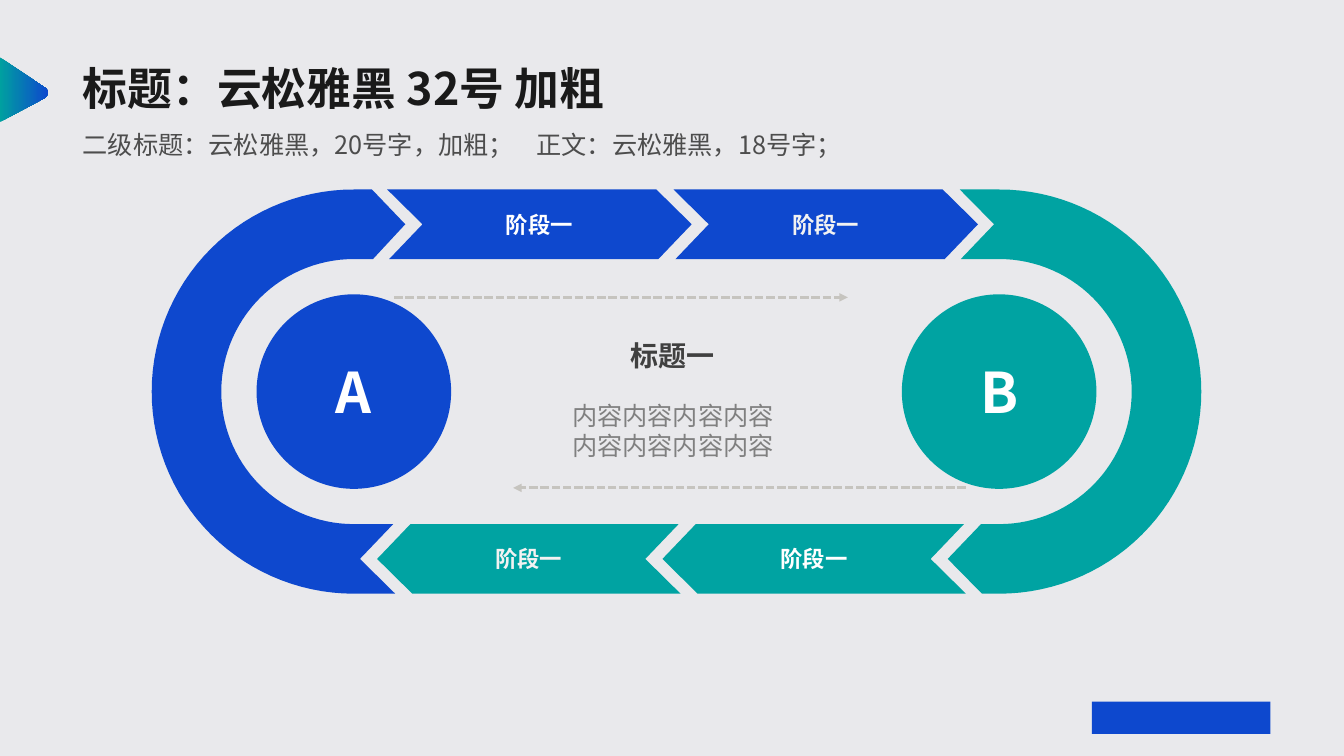
"""Build a two-pole cycle slide with stage arrows and a central message."""
from dataclasses import dataclass
from math import cos, radians, sin

from lxml.etree import SubElement
from pptx import Presentation
from pptx.dml.color import RGBColor as Color
from pptx.enum.dml import MSO_LINE as Dash
from pptx.enum.shapes import MSO_CONNECTOR as Connector, MSO_SHAPE as Preset
from pptx.enum.text import MSO_ANCHOR as Anchor, MSO_AUTO_SIZE as AutoSize, PP_ALIGN as Align
from pptx.oxml.ns import qn
from pptx.util import Inches, Pt


@dataclass(frozen=True)
class Theme:
    font: str = "Noto Sans CJK SC"
    background: str = "E9E9EC"
    blue: str = "0E48CE"
    accent_blue: str = "0D48CE"
    teal: str = "00A3A2"
    accent_teal: str = "00A0A0"
    white: str = "FFFFFF"
    soft_white: str = "F2F2F2"
    title: str = "1A1A1A"
    subtitle: str = "4D4D4D"
    heading: str = "404040"
    content: str = "808080"
    arrow: str = "C6C4BF"
    letter_size: int = 40
    title_size: int = 32
    heading_size: int = 20
    body_size: int = 18
    label_size: int = 16


theme = Theme()


def write(box, text, *, size, color, bold=False, align=Align.CENTER,
          anchor=Anchor.MIDDLE, inset=(0, 0), spacing=None, before=0):
    frame = box.text_frame
    frame.word_wrap = True
    frame.auto_size = AutoSize.NONE
    frame.vertical_anchor = anchor
    frame.margin_left = frame.margin_right = Inches(inset[0])
    frame.margin_top = frame.margin_bottom = Inches(inset[1])
    para = frame.add_paragraph() if frame.text else frame.paragraphs[0]
    para.alignment = align
    para.space_before = Pt(before)
    if spacing:
        para.line_spacing = Pt(spacing)
    span = para.add_run()
    span.text = text
    span.font.size = Pt(size)
    span.font.bold = bold
    span.font.color.rgb = Color.from_string(color)
    span.font.name = theme.font
    SubElement(span.font._element, qn("a:ea"), typeface=theme.font)
    return para


def draw_outline(points, color):
    corners = [(Inches(x), Inches(y)) for x, y in points]
    builder = page.shapes.build_freeform(*corners[0])
    builder.add_line_segments(corners[1:], close=True)
    outline = builder.convert_to_shape()
    outline.shadow.inherit = False
    outline.line.fill.background()
    outline.fill.solid()
    outline.fill.fore_color.rgb = Color.from_string(color)
    return outline


deck = Presentation()
deck.slide_width, deck.slide_height = Inches(13.33), Inches(7.5)
page = deck.slides.add_slide(deck.slide_layouts[1])
page.background.fill.solid()
page.background.fill.fore_color.rgb = Color.from_string(theme.background)

title, subtitle = page.placeholders
headers = [(title, (0.72, 0.53, 6.12, 0.64)), (subtitle, (0.72, 1.19, 9.26, 0.42))]
for box, place in headers:
    box.left, box.top, box.width, box.height = map(Inches, place)
header_format = dict(align=Align.LEFT, anchor=Anchor.TOP, inset=(0.1, 0.05))
write(title, "标题：云松雅黑 32号 加粗", size=theme.title_size, color=theme.title,
      bold=True, spacing=40, **header_format)
para = write(subtitle, "二级标题：云松雅黑，20号字，加粗；\t正文：云松雅黑，18号字；",
             size=theme.body_size, color=theme.subtitle, spacing=25, **header_format)
properties = para._p.get_or_add_pPr()
properties.set("marL", "0")
properties.set("indent", "0")
SubElement(properties, qn("a:buNone"))
tabs = SubElement(properties, qn("a:tabLst"))
SubElement(tabs, qn("a:tab"), pos=str(Inches(4.69)), algn="l")

marker = draw_outline([(0, 0.57), (0.43, 0.86), (0.46, 0.88), (0.48, 0.92),
                       (0.46, 0.96), (0.43, 0.98), (0, 1.21)], theme.accent_blue)
marker.fill.gradient()
marker.fill.gradient_angle = 0
for stop, color in zip(marker.fill.gradient_stops, (theme.accent_teal, theme.accent_blue)):
    stop.color.rgb = Color.from_string(color)

top, bottom, band = 1.88, 5.89, 0.69
upper_mid, lower_mid = top + band / 2, bottom - band / 2
upper_inner, lower_inner = top + band, bottom - band
middle, outer = (top + bottom) / 2, (bottom - top) / 2
left_center, right_center = 3.51, 9.91

arcs = {}
for side, center, start in (("left", left_center, 90), ("right", right_center, -90)):
    for edge, radius in (("outer", outer), ("inner", outer - band)):
        angles = [radians(start + step) for step in range(0, 181, 3)]
        arcs[side, edge] = [(center + radius * cos(angle), middle + radius * sin(angle))
                            for angle in angles]

draw_outline([(3.9, lower_inner), (3.57, lower_mid), (3.92, bottom), *arcs["left", "outer"],
              (3.69, top), (4.02, upper_mid), (3.7, upper_inner),
              *reversed(arcs["left", "inner"])], theme.blue)
draw_outline([(9.53, upper_inner), (9.86, upper_mid), (9.52, top), *arcs["right", "outer"],
              (9.74, bottom), (9.4, lower_mid), (9.73, lower_inner),
              *reversed(arcs["right", "inner"])], theme.teal)

forward = [(0, top), (2.67, top), (3.02, upper_mid), (2.69, upper_inner),
           (0.02, upper_inner), (0.35, upper_mid)]
backward = [(2.99, lower_inner), (0.33, lower_inner), (0, lower_mid), (0.35, bottom),
            (3.01, bottom), (2.66, lower_mid)]
stages = [(3.84, forward, theme.blue, theme.white), (6.68, forward, theme.blue, theme.soft_white),
          (6.57, backward, theme.teal, theme.white), (3.74, backward, theme.teal, theme.soft_white)]
for left, points, color, label_color in stages:
    chevron = draw_outline([(left + x, y) for x, y in points], color)
    write(chevron, "阶段一", size=theme.label_size, color=label_color, bold=True)

diameter = 1.93
brand_block = (Preset.RECTANGLE, 10.83, 6.96, 1.77, 0.32, theme.accent_blue, "")
poles = [(Preset.OVAL, center - diameter / 2, middle - diameter / 2, diameter, diameter, color, letter)
         for center, color, letter in ((left_center, theme.blue, "A"), (right_center, theme.teal, "B"))]
for preset, left, upper, width, height, color, letter in [*poles, brand_block]:
    shape = page.shapes.add_shape(preset, *map(Inches, (left, upper, width, height)))
    shape.shadow.inherit = False
    shape.line.fill.background()
    shape.fill.solid()
    shape.fill.fore_color.rgb = Color.from_string(color)
    if letter:
        write(shape, letter, size=theme.letter_size, color=theme.white, bold=True)

for start, end, height in ((3.91, 8.41, 2.95), (9.58, 5.09, 4.84)):
    arrow = page.shapes.add_connector(Connector.STRAIGHT, Inches(start), Inches(height),
                                      Inches(end), Inches(height))
    arrow.line.color.rgb = Color.from_string(theme.arrow)
    arrow.line.width = Pt(2)
    arrow.line.dash_style = Dash.SQUARE_DOT
    SubElement(arrow.line._get_or_add_ln(), qn("a:tailEnd"), type="triangle")
    SubElement(arrow._element.spPr, qn("a:effectLst"))

message = page.shapes.add_textbox(*map(Inches, (5.56, 3.31, 2.23, 1.3)))
message_format = dict(anchor=Anchor.TOP, inset=(0.1, 0.05))
write(message, "标题一", size=theme.heading_size, color=theme.heading, bold=True,
      spacing=24, **message_format)
write(message, "内容内容内容内容内容内容内容内容", size=theme.body_size, color=theme.content,
      spacing=21.4, before=20, **message_format)

deck.save("out.pptx")
